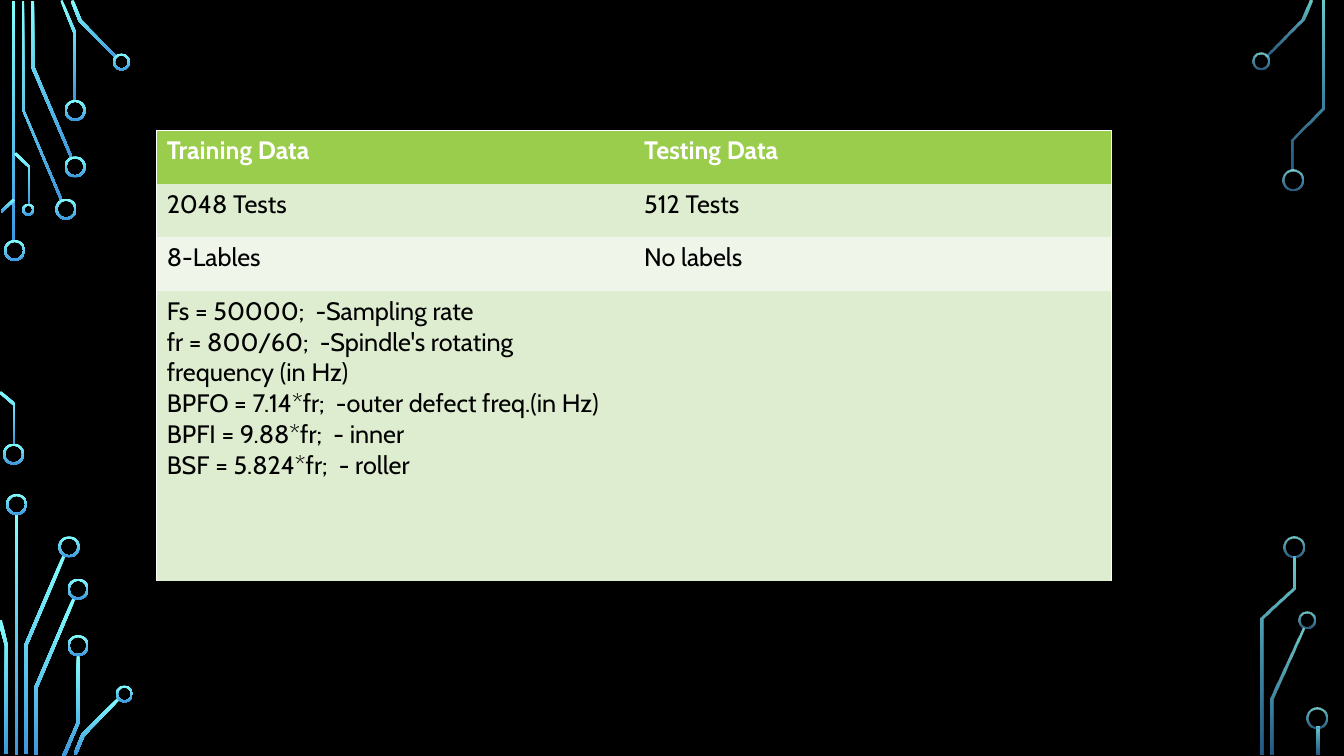
import dataclasses

import lxml.etree
import pptx
import pptx.dml.color
import pptx.enum.shapes
import pptx.oxml.ns
import pptx.util

Cm = pptx.util.Cm
qn = pptx.oxml.ns.qn


@dataclasses.dataclass(frozen=True)
class Theme:
    background: str = "000000"
    trace_top: str = "82FFFF"
    trace_bottom: str = "3D97DE"
    header_fill: str = "9ACD4C"
    band_fills: tuple = ("DEEDD0", "EFF6E9")
    header_text: str = "FFFFFF"
    body_text: str = "000000"
    border: str = "FFFFFF"
    border_width: float = 1
    font: str = "Cabin"
    text_size: float = 18


# Circuit traces are laid out on a fine grid; every number below counts grid steps.
GRID_CM = 0.0254
RING_WIDTH = 2
SOLID = (100, 100)
FADED = (80, 60)

# Straight bars: left, top, width, height
LEFT_BARS = [(12, 1, 3, 239), (15, 510, 3, 239)]
RIGHT_BARS = [(1306, 721, 3, 28)]

# Rings at the trace ends: left, top, diameter
LEFT_RINGS = [
    (4, 238, 21), (3, 440, 21), (55, 197, 21), (64, 155, 21), (64, 99, 21),
    (112, 53, 17), (22, 202, 12), (6, 490, 21), (58, 532, 21), (67, 574, 21),
    (67, 630, 21), (115, 680, 17),
]
RIGHT_RINGS = [
    (1243, 52, 17), (1272, 168, 21), (1288, 607, 17), (1273, 532, 21), (1296, 702, 21),
]

# Bent traces: outline corners
LEFT_TRACES = [
    [(60, 199), (22, 109), (22, 1), (24, 1), (24, 109), (62, 198)],
    [(70, 157), (31, 67), (31, 1), (34, 1), (34, 66), (72, 156)],
    [(76, 100), (73, 100), (73, 33), (60, 1), (62, 0), (76, 33)],
    [(115, 58), (78, 21), (70, 1), (73, 0), (81, 20), (116, 56)],
    [(2, 211), (1, 209), (13, 197), (15, 199)],
    [(15, 441), (13, 441), (13, 402), (-1, 390), (1, 388), (15, 400)],
    [(30, 203), (28, 203), (28, 166), (14, 153), (16, 151), (30, 165)],
    [(27, 748), (24, 748), (24, 640), (62, 551), (65, 552), (27, 641)],
    [(8, 748), (5, 748), (5, 641), (-2, 616), (2, 615), (8, 641)],
    [(37, 749), (34, 749), (34, 682), (72, 593), (75, 594), (37, 683)],
    [(65, 750), (62, 749), (76, 717), (76, 650), (79, 650), (79, 717)],
    [(76, 749), (73, 748), (81, 728), (117, 692), (119, 694), (84, 730)],
]
RIGHT_TRACES = [
    [(1258, 56), (1256, 55), (1291, 19), (1299, 0), (1302, 1), (1294, 20)],
    [(1264, 749), (1261, 749), (1261, 693), (1292, 623), (1294, 624), (1264, 694)],
    [(1283, 169), (1281, 169), (1281, 138), (1311, 107), (1311, 1), (1314, 1),
     (1314, 108), (1283, 139)],
    [(1254, 749), (1251, 749), (1251, 613), (1282, 583), (1282, 552), (1285, 552),
     (1285, 584), (1254, 614)],
]

DATA_ROWS = [
    ("Training Data", "Testing Data"),
    ("2048 Tests", "512 Tests"),
    ("8-Lables", "No labels"),
    ("Fs = 50000;  -Sampling rate\n"
     "fr = 800/60;  -Spindle's rotating frequency (in Hz)\n"
     "BPFO = 7.14*fr;  -outer defect freq.(in Hz)\n"
     "BPFI = 9.88*fr;  - inner\n"
     "BSF = 5.824*fr;  - roller", ""),
]
ROW_HEIGHTS = [1.35, 1.35, 1.35, 7.31]
COLUMN_WIDTH = 12.03
NO_GRID_STYLE = "{2D5ABB26-0587-4C30-8999-92F81FD0307C}"


def rgb(value):
    return pptx.dml.color.RGBColor.from_string(value)


def grid(steps):
    return Cm(steps * GRID_CM)


class SlideBuilder:
    def __init__(self, slide, theme):
        self.slide = slide
        self.theme = theme
        slide.background.fill.solid()
        slide.background.fill.fore_color.rgb = rgb(theme.background)

    def glow(self, shape, opacities):
        """Fill from top to bottom with the trace gradient, without outline."""
        shape.shadow.inherit = False
        shape.line.fill.background()
        shape.fill.gradient()
        shape.fill.gradient_angle = 270
        colors = (self.theme.trace_top, self.theme.trace_bottom)
        for stop, color in zip(shape.fill.gradient_stops, colors):
            stop.color.rgb = rgb(color)
        for color, opacity in zip(shape._element.spPr.iter(qn("a:srgbClr")), opacities):
            if opacity < 100:
                lxml.etree.SubElement(color, qn("a:alpha"), val=str(opacity * 1000))

    def bar(self, box, opacities):
        kind = pptx.enum.shapes.MSO_SHAPE.RECTANGLE
        self.glow(self.slide.shapes.add_shape(kind, *map(grid, box)), opacities)

    def ring(self, left, top, diameter, opacities):
        kind = pptx.enum.shapes.MSO_SHAPE.DONUT
        box = map(grid, (left, top, diameter, diameter))
        ring = self.slide.shapes.add_shape(kind, *box)
        ring.adjustments[0] = RING_WIDTH / diameter
        self.glow(ring, opacities)

    def trace(self, corners, opacities):
        outline = self.slide.shapes.build_freeform(*corners[0], scale=grid(1))
        outline.add_line_segments(corners[1:], close=True)
        self.glow(outline.convert_to_shape(), opacities)

    def circuit(self, bars, traces, rings, opacities):
        for box in bars:
            self.bar(box, opacities)
        for corners in traces:
            self.trace(corners, opacities)
        for ring in rings:
            self.ring(*ring, opacities)

    def border(self, cell, side):
        width = str(pptx.util.Pt(self.theme.border_width))
        line = lxml.etree.SubElement(
            cell._tc.get_or_add_tcPr(), qn(f"a:ln{side}"), w=width)
        fill = lxml.etree.SubElement(line, qn("a:solidFill"))
        lxml.etree.SubElement(fill, qn("a:srgbClr"), val=self.theme.border)

    def cell(self, cell, content, fill, color, bold):
        cell.fill.solid()
        cell.fill.fore_color.rgb = rgb(fill)
        cell.text = content
        for paragraph in cell.text_frame.paragraphs:
            paragraph.font.name = self.theme.font
            paragraph.font.size = pptx.util.Pt(self.theme.text_size)
            paragraph.font.color.rgb = rgb(color)
            paragraph.font.bold = bold

    def table(self, rows, left, top, column_width, row_heights):
        theme = self.theme
        last = len(rows[0]) - 1
        table = self.slide.shapes.add_table(
            len(rows), last + 1, Cm(left), Cm(top),
            Cm(column_width * (last + 1)), Cm(sum(row_heights))).table
        table._tbl.tblPr.find(qn("a:tableStyleId")).text = NO_GRID_STYLE
        for column in table.columns:
            column.width = Cm(column_width)
        for r, (contents, height) in enumerate(zip(rows, row_heights)):
            table.rows[r].height = Cm(height)
            header = r == 0
            fill = theme.header_fill if header else theme.band_fills[(r - 1) % 2]
            color = theme.header_text if header else theme.body_text
            for c, content in enumerate(contents):
                cell = table.cell(r, c)
                for side, outer in (("L", c == 0), ("R", c == last), ("T", header)):
                    if outer:
                        self.border(cell, side)
                self.cell(cell, content, fill, color, header)


def main():
    deck = pptx.Presentation()
    deck.slide_width, deck.slide_height = Cm(33.87), Cm(19.05)
    blank_layout = deck.slide_layouts[6]
    builder = SlideBuilder(deck.slides.add_slide(blank_layout), Theme())
    builder.circuit(LEFT_BARS, LEFT_TRACES, LEFT_RINGS, SOLID)
    builder.circuit(RIGHT_BARS, RIGHT_TRACES, RIGHT_RINGS, FADED)
    builder.table(DATA_ROWS, 3.95, 3.28, COLUMN_WIDTH, ROW_HEIGHTS)
    deck.save("out.pptx")


if __name__ == "__main__":
    main()
